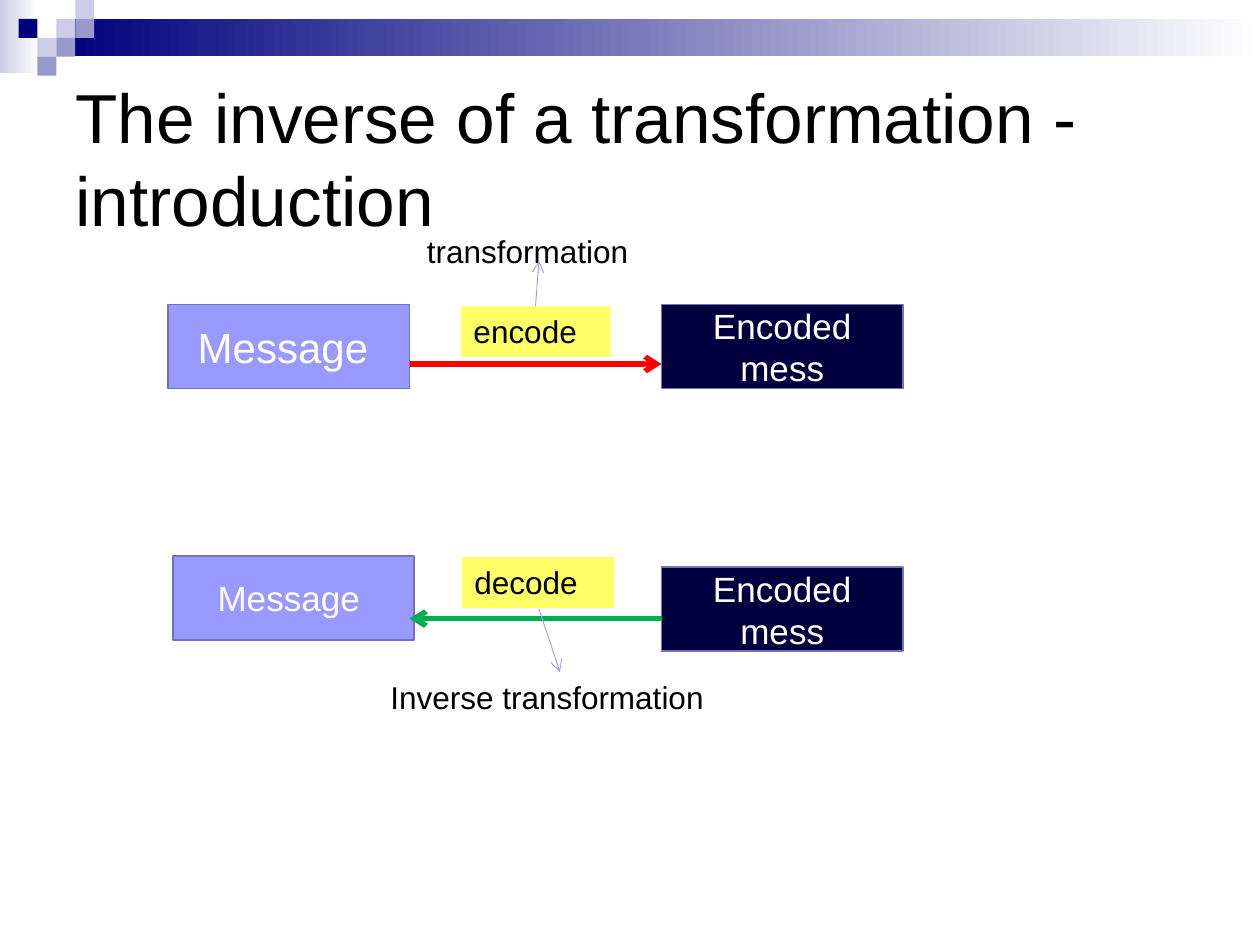
from lxml import etree
from pptx import Presentation
from pptx.dml.color import RGBColor
from pptx.enum import shapes, text
from pptx.oxml.ns import qn
from pptx.util import Pt

HUES = {
    "navy": "00007D", "dark": "00003E", "mid": "9999CC", "pale": "CCCCE6",
    "lilac": "9999FF", "edge": "7171BD", "yellow": "FFFF66", "red": "FF0000",
    "green": "00B050", "white": "FFFFFF", "black": "000000",
}


def hue(name):
    return RGBColor.from_string(HUES[name])


def style(frame, words, size, color, align):
    frame.word_wrap = True
    frame.auto_size = text.MSO_AUTO_SIZE.NONE
    frame.text = words
    para = frame.paragraphs[0]
    para.alignment = align
    font = para.runs[0].font
    font.name = "Arial"
    font.size = Pt(size)
    font.color.rgb = hue(color)


def add_rect(slide, x, y, w, h, fill=None, edge=None):
    rect = slide.shapes.add_shape(
        shapes.MSO_SHAPE.RECTANGLE, Pt(x), Pt(y), Pt(w), Pt(h))
    rect.shadow.inherit = False
    if fill:
        rect.fill.solid()
        rect.fill.fore_color.rgb = hue(fill)
    if edge:
        rect.line.color.rgb = hue(edge)
        rect.line.width = Pt(1)
    else:
        rect.line.fill.background()
    return rect


def add_fade(slide, x, y, w, h, start):
    fill = add_rect(slide, x, y, w, h).fill
    fill.gradient()
    fill.gradient_angle = 0
    for stop, name, spot in zip(fill.gradient_stops, (start, "white"), (0, 1)):
        stop.color.rgb = hue(name)
        stop.position = spot


def add_box(slide, x, y, words, size, fill):
    box = add_rect(slide, x, y, 138, 48, fill, "edge")
    box.text_frame.vertical_anchor = text.MSO_ANCHOR.MIDDLE
    style(box.text_frame, words, size, "white", text.PP_ALIGN.CENTER)


def add_tag(slide, x, y, w, words):
    tag = add_rect(slide, x, y, w, 29, "yellow")
    tag.text_frame.vertical_anchor = text.MSO_ANCHOR.TOP
    style(tag.text_frame, words, 18, "black", text.PP_ALIGN.LEFT)


def add_note(slide, x, y, w, words):
    note = slide.shapes.add_textbox(Pt(x), Pt(y), Pt(w), Pt(29))
    style(note.text_frame, words, 18, "black", text.PP_ALIGN.LEFT)


def add_arrow(slide, start, end, color, width):
    arrow = slide.shapes.add_connector(
        shapes.MSO_CONNECTOR.STRAIGHT, *map(Pt, start + end))
    arrow.line.color.rgb = hue(color)
    arrow.line.width = Pt(width)
    etree.SubElement(arrow.line._get_or_add_ln(), qn("a:tailEnd"), type="arrow")
    etree.SubElement(arrow._element.spPr, qn("a:effectLst"))


def add_banner(slide):
    add_fade(slide, 0, 0, 22.3, 41.8, "pale")
    add_fade(slide, 32.4, 10.8, 687.6, 21.4, "navy")
    tiles = [(2, 1, "pale"), (3, 0, "pale"), (3, 1, "mid"), (1, 2, "pale"),
             (0, 1, "navy"), (2, 2, "mid"), (1, 3, "mid")]
    side = 10.8
    for col, row, fill in tiles:
        add_rect(slide, 10.6 + col * side, row * side, side, side, fill)


def add_title(slide, words):
    title = slide.shapes.title
    title.left, title.top, title.width, title.height = map(
        Pt, (36, 36, 648, 108))
    title.text_frame.vertical_anchor = text.MSO_ANCHOR.MIDDLE
    style(title.text_frame, words, 39.6, "black", text.PP_ALIGN.LEFT)


def main():
    deck = Presentation()
    deck.slide_width, deck.slide_height = Pt(720), Pt(540)
    slide = deck.slides.add_slide(deck.slide_layouts[5])
    add_banner(slide)
    add_title(slide, "The inverse of a transformation - introduction")

    add_box(slide, 96, 174, "Message ", 24, "lilac")
    add_arrow(slide, (234, 208), (378, 208), "red", 3)
    add_box(slide, 378, 174, "Encoded mess", 20, "dark")
    add_tag(slide, 263.5, 175, 85.5, "encode")

    add_box(slide, 378, 324, "Encoded mess", 20, "dark")
    add_box(slide, 98.8, 317.6, "Message ", 20, "lilac")
    add_arrow(slide, (378, 353.5), (234, 353.5), "green", 3)
    add_tag(slide, 264, 318.4, 87, "decode")

    add_note(slide, 236.9, 129, 142, "transformation")
    add_arrow(slide, (306, 175), (308, 149), "lilac", 0.5)
    add_note(slide, 216, 384, 208, "Inverse transformation")
    add_arrow(slide, (308, 348), (320, 384), "lilac", 0.5)
    deck.save("out.pptx")


main()
